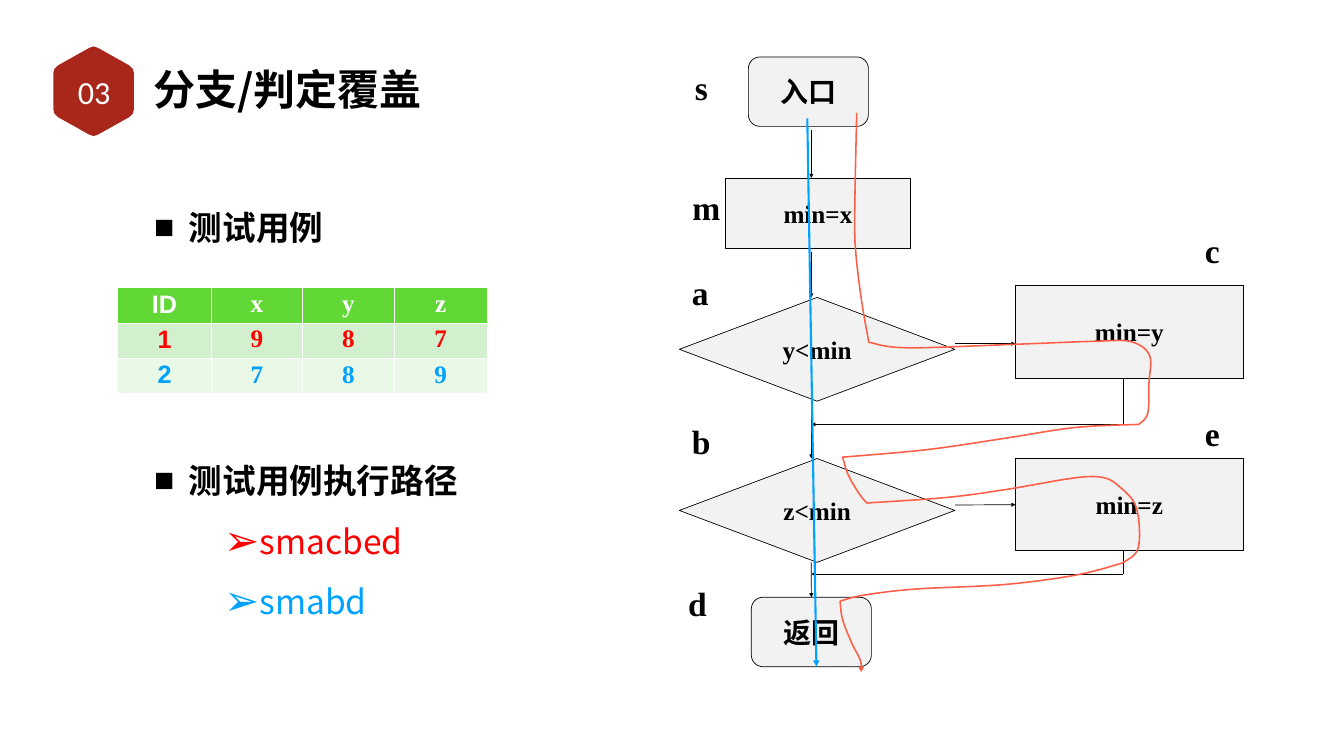
from lxml import etree
from pptx import Presentation
from pptx.dml.color import RGBColor
from pptx.enum.shapes import MSO_CONNECTOR, MSO_SHAPE
from pptx.enum.text import MSO_ANCHOR, MSO_AUTO_SIZE, PP_ALIGN
from pptx.oxml.ns import qn
from pptx.util import Cm, Pt

STRAIGHT = MSO_CONNECTOR.STRAIGHT
TERMINAL = MSO_SHAPE.FLOWCHART_ALTERNATE_PROCESS
PROCESS = MSO_SHAPE.FLOWCHART_PROCESS
DECISION = MSO_SHAPE.FLOWCHART_DECISION
CENTER = PP_ALIGN.CENTER
LEFT = PP_ALIGN.LEFT
MIDDLE = MSO_ANCHOR.MIDDLE
TOP = MSO_ANCHOR.TOP
NO_FIT = MSO_AUTO_SIZE.NONE
GROW = MSO_AUTO_SIZE.SHAPE_TO_FIT_TEXT
TOP_SITE, LEFT_SITE = 0, 1

COLORS = {
    "black": "000000", "white": "FFFFFF", "badge": "A8271A", "node": "F2F2F2",
    "red": "FF0000", "blue": "00A2FF", "trace": "FE5F48",
    "header": "61D836", "band": "D2F0CE", "pale": "EAF8E8",
}
SERIF = "Times New Roman"
SANS = "Noto Sans CJK SC"


def add_run(paragraph, text, size, font, color="black", bold=True):
    run = paragraph.add_run()
    run.text = text
    run.font.size = Pt(size)
    run.font.name = font
    run.font.bold = bold
    run.font.color.rgb = RGBColor.from_string(COLORS[color])
    latin = run._r.get_or_add_rPr().find(qn("a:latin"))
    latin.addnext(etree.Element(qn("a:ea"), typeface=SANS))


def style_line(shape, color, width, arrowhead=None):
    shape.line.color.rgb = RGBColor.from_string(COLORS[color])
    shape.line.width = Pt(width)
    if arrowhead:
        outline = shape.line._get_or_add_ln()
        etree.SubElement(outline, qn("a:tailEnd"), type=arrowhead)
    if shape._element.spPr.find(qn("a:effectLst")) is None:
        etree.SubElement(shape._element.spPr, qn("a:effectLst"))


presentation = Presentation()
presentation.slide_width = Cm(67.74)
presentation.slide_height = Cm(38.1)
slide = presentation.slides.add_slide(presentation.slide_layouts[3])
shapes = slide.shapes
title, cases, routes = slide.placeholders

for placeholder, left, top, width, height, anchor in [
    (title, 7.59, 3, 15.29, 2.9, MIDDLE),
    (cases, 7.62, 8.23, 20.62, 6.63, TOP),
    (routes, 7.62, 21.01, 20.62, 14.63, TOP),
]:
    placeholder.left, placeholder.top = Cm(left), Cm(top)
    placeholder.width, placeholder.height = Cm(width), Cm(height)
    frame = placeholder.text_frame
    frame.auto_size = NO_FIT
    frame.word_wrap = True
    frame.vertical_anchor = anchor
    frame.margin_left = frame.margin_right = Cm(0.15)
    frame.margin_top = frame.margin_bottom = Cm(0.15)

paragraph = title.text_frame.paragraphs[0]
paragraph.alignment = LEFT
add_run(paragraph, "分支/判定覆盖", 60, SANS)

for placeholder, items in [
    (cases, [("测试用例", 0, "black")]),
    (routes, [("测试用例执行路径", 0, "black"), ("smacbed", 2, "red"), ("smabd", 2, "blue")]),
]:
    frame = placeholder.text_frame
    for index, (text, level, color) in enumerate(items):
        paragraph = frame.add_paragraph() if index else frame.paragraphs[0]
        paragraph.level = level
        paragraph.alignment = LEFT
        paragraph.line_spacing = 1.5 if level else 2.0
        paragraph.space_before = Pt(0)
        properties = paragraph._p.get_or_add_pPr()
        properties.set("marL", str(Cm(5.28 if level else 1.75)))
        properties.set("indent", str(-Cm(1.75)))
        etree.SubElement(properties, qn("a:buSzPct"), val="125000" if level else "100000")
        etree.SubElement(properties, qn("a:buFont"), typeface="Arial")
        etree.SubElement(properties, qn("a:buChar"), char="➢" if level else "■")
        add_run(paragraph, text, 48, SANS, color, bold=level == 0)

badge_x, badge_y = 4.72, 4.6
upper_right = [(0, -2.26), (0.23, -2.18), (1.8, -1.3), (1.98, -1.12), (2.03, -0.91)]
right_side = upper_right + [(x, -y) for x, y in reversed(upper_right)]
left_side = [(-x, y) for x, y in reversed(right_side)]
hexagon = [(Cm(badge_x + x), Cm(badge_y + y)) for x, y in right_side + left_side]
builder = shapes.build_freeform(*hexagon[0])
builder.add_line_segments(hexagon[1:], close=True)
badge = builder.convert_to_shape()
badge.shadow.inherit = False
badge.fill.solid()
badge.fill.fore_color.rgb = RGBColor.from_string(COLORS["badge"])
badge.line.fill.background()

number = shapes.add_textbox(Cm(2.54), Cm(3.28), Cm(4.42), Cm(2.67))
frame = number.text_frame
frame.word_wrap = True
frame.vertical_anchor = MIDDLE
frame.margin_left = frame.margin_right = frame.margin_top = frame.margin_bottom = Cm(0.13)
frame.paragraphs[0].alignment = CENTER
add_run(frame.paragraphs[0], "03", 46, "Calibri", "white", bold=False)

rows = [
    ("header", "white", ["ID", "x", "y", "z"]),
    ("band", "red", ["1", "9", "8", "7"]),
    ("pale", "blue", ["2", "7", "8", "9"]),
]
widths = [4.75, 4.57, 4.65, 4.65]
table = shapes.add_table(len(rows), len(widths), Cm(5.92), Cm(14.5), Cm(sum(widths)), Cm(5.34)).table
for column, width in zip(table.columns, widths):
    column.width = Cm(width)
for row_index, (fill, color, values) in enumerate(rows):
    for column_index, value in enumerate(values):
        cell = table.cell(row_index, column_index)
        cell.fill.solid()
        cell.fill.fore_color.rgb = RGBColor.from_string(COLORS[fill])
        paragraph = cell.text_frame.paragraphs[0]
        paragraph.alignment = CENTER
        add_run(paragraph, value, 36, SERIF if column_index else "Arial", color)

node_styles = {
    "terminal": (TERMINAL, 6.05, 3.5, 40),
    "start": (PROCESS, 9.3, 3.53, 36),
    "decision": (DECISION, 13.89, 5.23, 36),
    "update": (PROCESS, 11.48, 4.65, 36),
}
nodes = {}
for text, style, left, top in [
    ("入口", "terminal", 37.72, 2.87),
    ("min=x", "start", 36.58, 8.97),
    ("y<min", "decision", 34.24, 14.99),
    ("min=y", "update", 51.18, 14.4),
    ("z<min", "decision", 34.24, 23.11),
    ("min=z", "update", 51.18, 23.11),
    ("返回", "terminal", 37.87, 30.1),
]:
    kind, width, height, size = node_styles[style]
    node = shapes.add_shape(kind, Cm(left), Cm(top), Cm(width), Cm(height))
    node.shadow.inherit = False
    node.fill.solid()
    node.fill.fore_color.rgb = RGBColor.from_string(COLORS["node"])
    style_line(node, "black", 1)
    node.text_frame.word_wrap = False
    node.text_frame.vertical_anchor = MIDDLE
    node.text_frame.paragraphs[0].alignment = CENTER
    add_run(node.text_frame.paragraphs[0], text, size, SERIF)
    nodes[text] = node

for text, left, top, width in [
    ("s", 34.77, 3.25, 1.68), ("m", 34.65, 9.32, 1.93), ("a", 34.62, 13.56, 1.96),
    ("b", 34.62, 21.11, 2.08), ("d", 34.44, 29.24, 2.08),
    ("c", 60.48, 11.46, 1.8), ("e", 60.48, 20.7, 1.8),
]:
    label = shapes.add_textbox(Cm(left), Cm(top), Cm(width), Cm(3.18))
    label.text_frame.word_wrap = False
    label.text_frame.auto_size = GROW
    label.text_frame.paragraphs[0].alignment = LEFT
    add_run(label.text_frame.paragraphs[0], text, 48, SERIF)

main_x, return_x = Cm(40.89), Cm(56.62)
links = []
main_flow = ["入口", "min=x", "y<min", "z<min", "返回"]
for upper, lower in zip(main_flow, main_flow[1:]):
    gap = 0 if "<" in upper else Cm(0.2)
    start_y = nodes[upper].top + nodes[upper].height + gap
    links.append((main_x, start_y, main_x, nodes[lower].top, "triangle"))
for decision, update, branch_y, merge_y in [
    ("y<min", "min=y", Cm(17.32), Cm(21.39)),
    ("z<min", "min=z", Cm(25.45), Cm(28.93)),
]:
    decision_right = nodes[decision].left + nodes[decision].width
    update_bottom = nodes[update].top + nodes[update].height
    links.append((decision_right, branch_y, nodes[update].left, branch_y, "triangle"))
    links.append((return_x, update_bottom, return_x, merge_y, None))
    links.append((return_x, merge_y, main_x, merge_y, "triangle"))
joins = {(main_x, nodes["返回"].top): ("返回", TOP_SITE),
         (nodes["min=z"].left, Cm(25.45)): ("min=z", LEFT_SITE)}
for x1, y1, x2, y2, arrowhead in links:
    connector = shapes.add_connector(STRAIGHT, x1, y1, x2, y2)
    if (x2, y2) in joins:
        text, site = joins[x2, y2]
        connector.end_connect(nodes[text], site)
    style_line(connector, "black", 1, arrowhead)

blue_trace = shapes.add_connector(STRAIGHT, Cm(40.69), Cm(5.97), Cm(41.15), Cm(33.6))
style_line(blue_trace, "blue", 3, "triangle")

trace_start = (43.18, 5.69)
trace_legs = {
    "down to y<min": [(43.08, 10.67), (43.13, 12.7), (43.43, 15.19), (43.79, 17.25)],
    "through min=y": [(45.72, 17.53), (51.21, 17.35), (55.2, 17.2), (57, 17.22),
                      (57.94, 17.91), (57.91, 19.3), (57.85, 20.83), (57.4, 21.39)],
    "back to z<min": [(54.23, 21.54), (50.77, 22.07), (46.74, 22.66), (42.47, 23.04)],
    "inside z<min": [(42.75, 23.93), (43.31, 24.89), (43.69, 25.35)],
    "through min=z": [(47.73, 25.07), (50.77, 24.66), (54.2, 24.08), (55.65, 24.08), (56.46, 24.56),
                      (57.2, 25.4), (57.43, 26.67), (57.3, 27.79), (56.59, 28.37)],
    "back to 返回": [(54.25, 28.98), (50.62, 29.46), (46.1, 29.69), (43.51, 30), (42.34, 30.3)],
    "out of 返回": [(42.47, 31.23), (42.93, 32.41), (43.36, 33.27), (43.41, 33.86)],
}
STEPS = 6
curve = [trace_start]
for waypoints in trace_legs.values():
    leg = [curve[-1]] + waypoints
    padded = [leg[0]] + leg + [leg[-1]]
    for neighbours in zip(padded, padded[1:], padded[2:], padded[3:]):
        for t in [step / STEPS for step in range(1, STEPS + 1)]:
            curve.append(tuple(
                b + ((c - a) * t + (2 * a - 5 * b + 4 * c - d) * t**2 + (3 * b - a - 3 * c + d) * t**3) / 2
                for a, b, c, d in zip(*neighbours)))
points = [(Cm(x), Cm(y)) for x, y in curve]
builder = shapes.build_freeform(*points[0])
builder.add_line_segments(points[1:], close=False)
red_trace = builder.convert_to_shape()
red_trace.shadow.inherit = False
red_trace.fill.background()
style_line(red_trace, "trace", 2.25, "arrow")

presentation.save("out.pptx")
